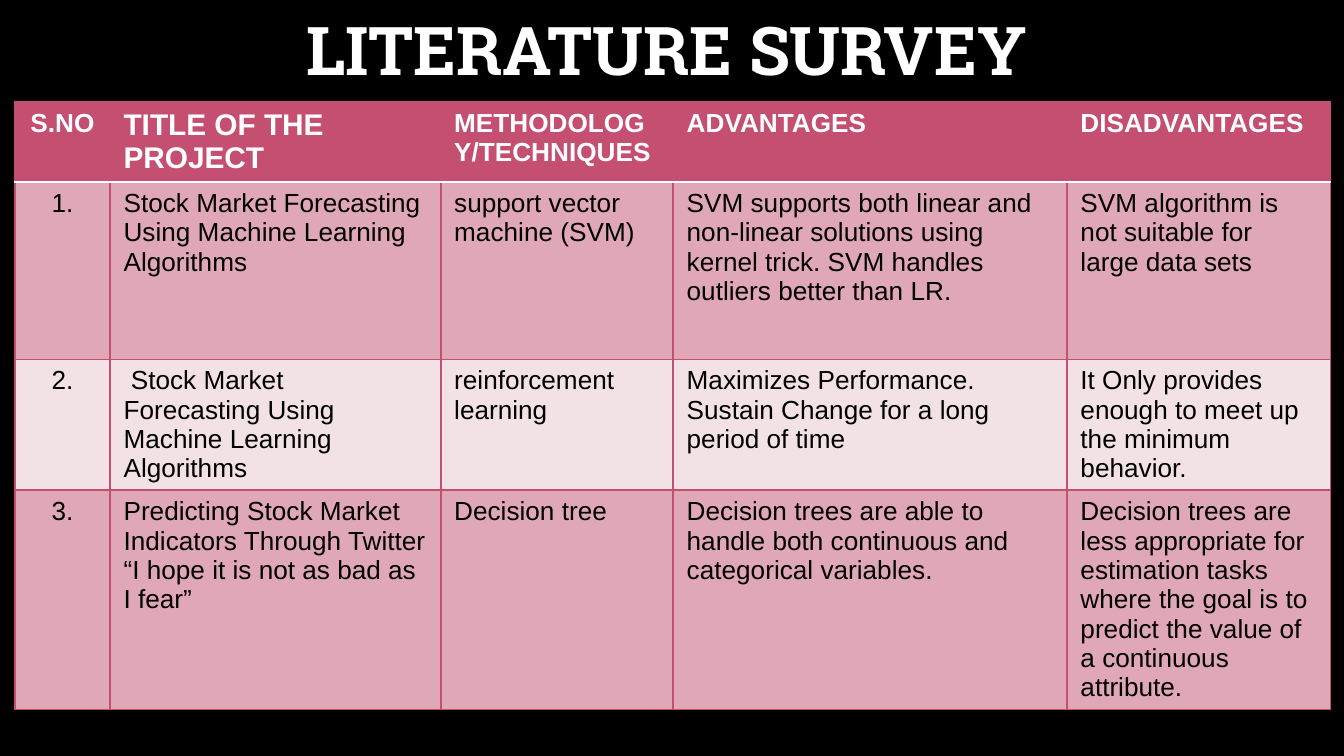
from lxml import etree
from pptx import Presentation
from pptx.dml.color import RGBColor
from pptx.enum import text
from pptx.oxml import ns
from pptx.util import Inches, Pt

BLACK = RGBColor(0x00, 0x00, 0x00)
WHITE = RGBColor(0xFF, 0xFF, 0xFF)
ROSE = RGBColor(0xC5, 0x4F, 0x71)
ROSE_MID = RGBColor(0xE0, 0xA7, 0xB6)
ROSE_PALE = RGBColor(0xF2, 0xE1, 0xE5)

COLUMN_WIDTHS = [0.71, 2.46, 1.73, 2.93, 1.96]
ROW_HEIGHTS = [0.43, 1.32, 0.96, 0.96]
SURVEY = [
    ["S.NO", "TITLE OF THE PROJECT", "METHODOLOGY/TECHNIQUES", "ADVANTAGES", "DISADVANTAGES"],
    ["1.", "Stock Market Forecasting Using Machine Learning Algorithms",
     "support vector machine (SVM)",
     "SVM supports both linear and non-linear solutions using kernel trick. "
     "SVM handles outliers better than LR.",
     "SVM algorithm is not suitable for large data sets"],
    ["2.", " Stock Market Forecasting Using Machine Learning Algorithms",
     "reinforcement learning",
     "Maximizes Performance. Sustain Change for a long period of time",
     "It Only provides enough to meet up the minimum behavior."],
    ["3.", "Predicting Stock Market Indicators Through Twitter “I hope it is not as bad as I fear”",
     "Decision tree",
     "Decision trees are able to handle both continuous and categorical variables.",
     "Decision trees are less appropriate for estimation tasks where the goal is to "
     "predict the value of a continuous attribute."],
]


def format_font(font, color, **values):
    for name, value in values.items():
        setattr(font, name, value)
    font.color.rgb = color


def add_border(cell, side, color, width):
    line = etree.SubElement(cell._tc.get_or_add_tcPr(), ns.qn(f"a:{side}"), w=str(Pt(width)))
    fill = etree.SubElement(line, ns.qn("a:solidFill"))
    etree.SubElement(fill, ns.qn("a:srgbClr"), val=str(color))


# Widescreen slide, 16:9
prs = Presentation()
prs.slide_width = Inches(10)
prs.slide_height = Inches(10 * 9 / 16)
slide = prs.slides.add_slide(prs.slide_layouts[5])
slide.background.fill.solid()
slide.background.fill.fore_color.rgb = BLACK

# Title
heading = slide.shapes.title
heading_box = {"left": 0.45, "top": 0, "width": 9.02, "height": 0.84}
for name, value in heading_box.items():
    setattr(heading, name, Inches(value))
frame = heading.text_frame
frame.text = "LITERATURE SURVEY"
for side in ("left", "top", "right", "bottom"):
    setattr(frame, f"margin_{side}", Inches(0.13))
frame.vertical_anchor = text.MSO_ANCHOR.TOP
frame.auto_size = text.MSO_AUTO_SIZE.NONE
frame.paragraphs[0].alignment = text.PP_ALIGN.CENTER
frame.paragraphs[0].line_spacing = 0.9
format_font(frame.paragraphs[0].runs[0].font, WHITE, name="Roboto Slab", size=Pt(36), bold=True)

# Survey table
survey = slide.shapes.add_table(
    len(SURVEY), len(COLUMN_WIDTHS), Inches(0.11), Inches(0.76),
    Inches(sum(COLUMN_WIDTHS)), Inches(sum(ROW_HEIGHTS))).table
survey.horz_banding = False
for column, width in zip(survey.columns, COLUMN_WIDTHS):
    column.width = Inches(width)
for row, height in zip(survey.rows, ROW_HEIGHTS):
    row.height = Inches(height)

# Cells: rose header, then alternating bands
for r, entries in enumerate(SURVEY):
    is_header = r == 0
    band = ROSE if is_header else ROSE_MID if r % 2 else ROSE_PALE
    for c, entry in enumerate(entries):
        cell = survey.cell(r, c)
        for side in ("lnL", "lnR", "lnT", "lnB"):
            is_rule = (r, side) in ((0, "lnB"), (1, "lnT"))
            add_border(cell, side, WHITE if is_rule else ROSE, 1.5 if is_rule else 1)
        cell.fill.solid()
        cell.fill.fore_color.rgb = band
        cell.text = entry
        paragraph = cell.text_frame.paragraphs[0]
        paragraph.alignment = text.PP_ALIGN.CENTER if c == 0 else text.PP_ALIGN.LEFT
        format_font(paragraph.runs[0].font, WHITE if is_header else BLACK, name="Arial",
                    size=Pt(16 if (r, c) == (0, 1) else 14), bold=is_header)

prs.save("out.pptx")
